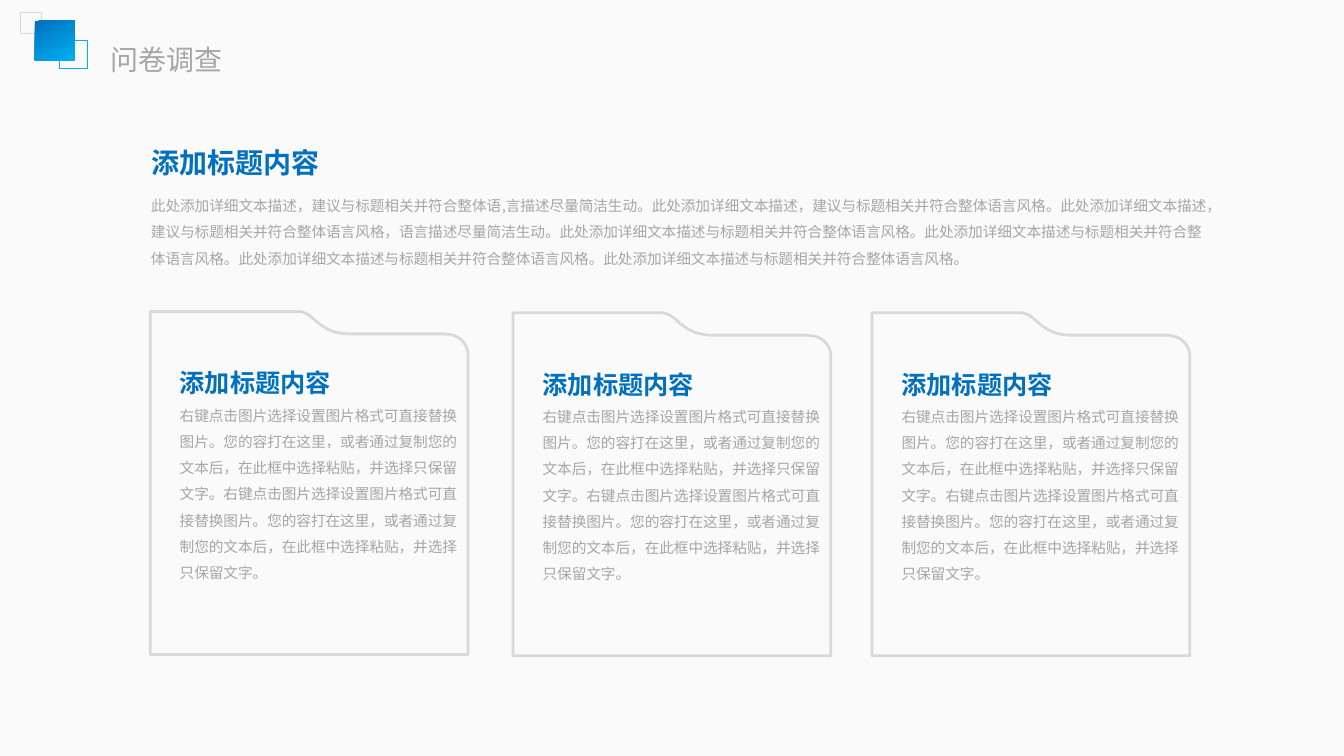
from lxml import etree
from pptx import Presentation
from pptx.dml.color import RGBColor
from pptx.enum.shapes import MSO_SHAPE
from pptx.oxml.ns import qn
from pptx.util import Pt

RECT = MSO_SHAPE.RECTANGLE
FONT = "Noto Sans CJK SC"
BLUE, SKY, GRAY, PALE = "0070C0", "00B0F0", "A6A6A6", "D9D9D9"
HEADING_SPACING = 1.27
BODY_SIZE, BODY_PITCH = 10.5, 18.75

CARD_ORIGINS = [(107.3, 222.5), (366.5, 223.4), (622.9, 223.4)]
CARD_W, CARD_H = 227, 245
# Folder edge from the right shoulder to the tab; each curve is two controls and an end
SHOULDER = (CARD_W, 32.4)
SHOULDER_CURVES = [
    [(227.5, 26), (224, 20), (217.5, 17.3)],
    [(215.5, 16.6), (212, 16), (208, 16)],
]
TAB_START = (142.6, 16)
TAB_CURVES = [
    [(138.7, 16), (134.8, 15.5), (131, 14.4)],
    [(127.5, 13), (124.5, 11.5), (121.7, 9.4)],
    [(117.4, 6.5), (114.5, 2.2), (109.5, 0.7)],
    [(108.7, 0.2), (107.3, 0), (105.8, 0)],
]

HEADING = "添加标题内容"
INTRO = (
    "此处添加详细文本描述，建议与标题相关并符合整体语,言描述尽量简洁生动。"
    "此处添加详细文本描述，建议与标题相关并符合整体语言风格。"
    "此处添加详细文本描述，建议与标题相关并符合整体语言风格，语言描述尽量简洁生动。"
    + "此处添加详细文本描述与标题相关并符合整体语言风格。" * 4
)
CARD_TEXT = (
    "右键点击图片选择设置图片格式可直接替换图片。"
    "您的容打在这里，或者通过复制您的文本后，在此框中选择粘贴，并选择只保留文字。"
) * 2


def rgb(value):
    return RGBColor.from_string(value)


def outline(shape, color, width):
    shape.shadow.inherit = False
    shape.fill.background()
    shape.line.color.rgb = rgb(color)
    shape.line.width = Pt(width)


def add_square(s, x, y, side):
    return s.shapes.add_shape(RECT, Pt(x), Pt(y), Pt(side), Pt(side))


def add_gradient_square(s, x, y, side):
    square = add_square(s, x, y, side)
    square.shadow.inherit = False
    square.line.fill.background()
    square.fill.gradient()
    square.fill.gradient_angle = 300
    for stop, color in zip(square.fill.gradient_stops, (BLUE, SKY)):
        stop.color.rgb = rgb(color)


def add_text(s, x, y, w, h, paragraphs, right_inset=7.2):
    """Each paragraph is (text, size, line pitch, color, bold)."""
    tf = s.shapes.add_textbox(Pt(x), Pt(y), Pt(w), Pt(h)).text_frame
    tf.word_wrap = True
    tf.margin_right = Pt(right_inset)
    for i, (text, size, pitch, color, bold) in enumerate(paragraphs):
        p = tf.add_paragraph() if i else tf.paragraphs[0]
        p.add_run().text = text
        p.line_spacing = Pt(pitch)
        p.font.size = Pt(size)
        p.font.bold = bold
        p.font.color.rgb = rgb(color)
        p.font.name = FONT
        props = p._p.pPr.find(qn("a:defRPr"))
        etree.SubElement(props, qn("a:ea")).set("typeface", FONT)


def heading(text, size, color=BLUE, bold=True):
    return text, size, size * HEADING_SPACING, color, bold


def body(text):
    return text, BODY_SIZE, BODY_PITCH, GRAY, False


def curve_points(start, curves, steps=8):
    """Sample a chain of cubic Bezier curves."""
    points = [start]
    for c1, c2, end in curves:
        for i in range(1, steps + 1):
            t = i / steps
            u = 1 - t
            points.append(tuple(
                u**3 * a + 3 * u * u * t * b + 3 * u * t * t * c + t**3 * d
                for a, b, c, d in zip(start, c1, c2, end)))
        start = end
    return points


def add_folder(s, x, y):
    points = [(0, CARD_H), (CARD_W, CARD_H)]
    points += curve_points(SHOULDER, SHOULDER_CURVES)
    points += curve_points(TAB_START, TAB_CURVES)
    builder = s.shapes.build_freeform(Pt(x), Pt(y))
    builder.add_line_segments([(Pt(x + dx), Pt(y + dy)) for dx, dy in points])
    outline(builder.convert_to_shape(), PALE, 2)


def main():
    prs = Presentation()
    prs.slide_width, prs.slide_height = Pt(960), Pt(540)
    s = prs.slides.add_slide(prs.slide_layouts[6])
    s.background.fill.solid()
    s.background.fill.fore_color.rgb = rgb("FAFAFA")

    outline(add_square(s, 42.4, 28.8, 20.2), SKY, 0.75)
    outline(add_square(s, 14.8, 9.1, 14.8), PALE, 0.75)
    add_gradient_square(s, 25, 14.8, 28.4)
    add_text(s, 72, 25.2, 142, 29.5, [heading("问卷调查", 20, GRAY, False)])

    add_text(s, 100.8, 98.8, 214, 31.7, [heading(HEADING, 20)])
    add_text(s, 100.8, 131, 770.4, 64.8, [body(INTRO)])

    for x, y in CARD_ORIGINS:
        add_folder(s, x, y)
        add_text(s, x + 14, y + 35.3, 217.4, 162,
                 [heading(HEADING, 18), body(CARD_TEXT)], right_inset=10)

    prs.save("out.pptx")


if __name__ == "__main__":
    main()
